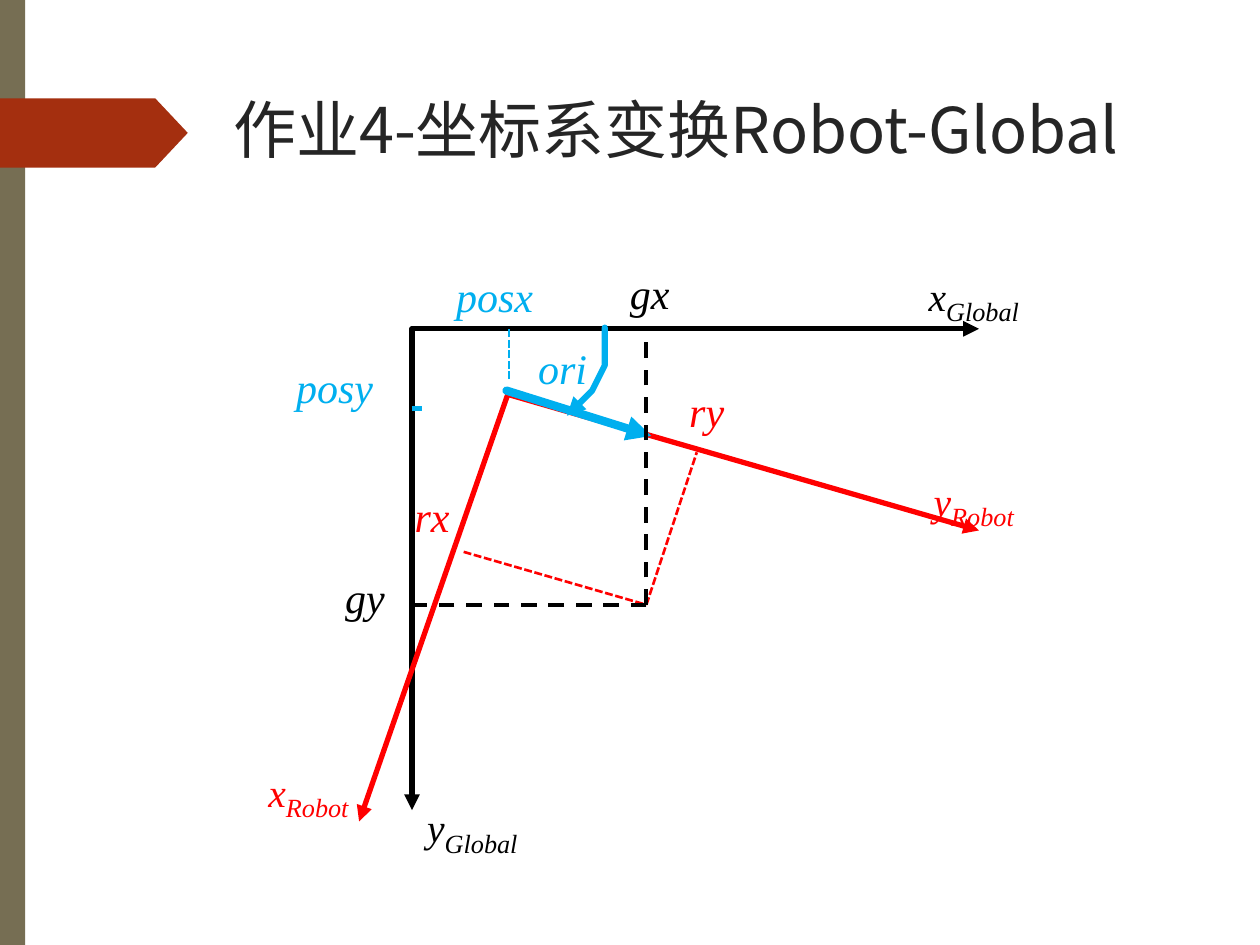
from pptx import Presentation
from pptx.dml.color import RGBColor as Rgb
from pptx.enum.dml import MSO_LINE as Dash
from pptx.enum.shapes import MSO_CONNECTOR as Link, MSO_SHAPE as Form
from pptx.enum.text import MSO_ANCHOR as Anchor, MSO_AUTO_SIZE as Fit, PP_ALIGN as Align
from pptx.oxml.ns import qn
from pptx.util import Inches, Pt
from lxml.etree import SubElement as Sub

BLACK, RED, BLUE = "000000", "FF0000", "00AFEF"

deck = Presentation()
deck.slide_width, deck.slide_height = Inches(10), Inches(7.5)
unit = deck.slide_width / 100
slide = deck.slides.add_slide(deck.slide_layouts[5])
shapes = slide.shapes


def grid(*cells):
    return [round(cell * unit) for cell in cells]


def paint(part, color):
    if hasattr(part, "solid"):
        part.solid()
        part = part.fore_color
    else:
        part = part.color
    part.rgb = Rgb.from_string(color)


frame = {"margin_left": 0, "margin_right": 0, "margin_top": Inches(0.01), "margin_bottom": 0,
         "word_wrap": True, "auto_size": Fit.NONE, "vertical_anchor": Anchor.TOP}

for form, box, color in (
    (Form.RECTANGLE, (0, 0, 2, 75), "766E53"),
    (Form.PENTAGON, (0, 7.8, 14.9, 5.5), "A42F0F"),
):
    shape = shapes.add_shape(form, *grid(*box))
    shape.shadow.inherit = False
    paint(shape.fill, color)
    shape.line.fill.background()
shape.adjustments[0] = 0.47

title = shapes.title
title.left, title.top, title.width, title.height = grid(18.5, 7.1, 74, 6.2)
for name, value in frame.items():
    setattr(title.text_frame, name, value)
line = title.text_frame.paragraphs[0]
line.alignment = Align.LEFT
run = line.add_run()
run.text = "作业4-坐标系变换Robot-Global"
run.font.size = Pt(36)
run.font.name = "Noto Sans CJK SC"
paint(run.font, "252525")
Sub(run.font._element, qn("a:ea"), typeface="Noto Sans CJK SC")

lines = []
for ends, color, width, dash, head in (
    ((32.7, 26.1, 77.7, 26.1), BLACK, 3, None, True),
    ((32.7, 26.1, 32.7, 64.3), BLACK, 3, None, True),
    ((40.3, 31.3, 77.7, 42.1), RED, 3, None, True),
    ((40.3, 31.3, 28.5, 65.2), RED, 3, None, True),
    ((40.4, 30.1, 40.4, 26), BLUE, 1.5, Dash.SQUARE_DOT, False),
    ((51.3, 48, 55.3, 35.9), RED, 1.5, Dash.SQUARE_DOT, False),
    ((36.8, 43.8, 51.3, 48), RED, 1.5, Dash.SQUARE_DOT, False),
    ((32.7, 32.4, 33.5, 32.4), BLUE, 3, None, False),
    ((40.2, 31, 51.7, 34.6), BLUE, 4.75, None, True),
    ((51.3, 48, 51.3, 26), BLACK, 2.25, Dash.DASH, False),
    ((51.3, 48, 32.5, 48), BLACK, 2.25, Dash.DASH, False),
):
    link = shapes.add_connector(Link.STRAIGHT, *grid(*ends))
    lines.append((link, color, width, dash, head))

curve = ((48, 26.4), (48, 27.8), (47.7, 29.3), (47.2, 30.6), (46.5, 31.7), (45.3, 32.6))
path = shapes.build_freeform(*curve[0], scale=unit)
path.add_line_segments(curve[1:], close=False)
arc = path.convert_to_shape()
arc.fill.background()
lines.append((arc, BLUE, 3.5, None, True))

for link, color, width, dash, head in lines:
    paint(link.line, color)
    link.line.width = Pt(width)
    if dash:
        link.line.dash_style = dash
    if head:
        edge = link.line._get_or_add_ln()
        edge.set("cap", "rnd")
        Sub(edge, qn("a:round"))
        Sub(edge, qn("a:tailEnd"), type="triangle")
    Sub(link._element.spPr, qn("a:effectLst"))

for word, index, box, color in (
    ("posx", "", (36.2, 21.4, 7, 4.3), BLUE),
    ("posy", "", (23.5, 28.6, 7, 4.3), BLUE),
    ("ori", "", (42.7, 27.1, 4.5, 4.3), BLUE),
    ("gx", "", (50, 21.1, 3.6, 4.3), BLACK),
    ("gy", "", (27.4, 45.3, 3.6, 4.3), BLACK),
    ("rx", "", (32.9, 38.8, 3.3, 4.3), RED),
    ("ry", "", (54.7, 30.5, 3.3, 4.3), RED),
    ("x", "Global", (73.7, 20, 8, 4.7), BLACK),
    ("y", "Global", (33.9, 62.2, 8, 4.7), BLACK),
    ("y", "Robot", (74.1, 36.3, 7.3, 4.7), RED),
    ("x", "Robot", (21.3, 59.4, 7.3, 4.7), RED),
):
    label = shapes.add_textbox(*grid(*box)).text_frame
    for name, value in frame.items():
        setattr(label, name, value)
    for text, size in ((word, 39 if index else 24), (index, 15)):
        if text:
            run = label.paragraphs[0].add_run()
            run.text = text
            for name, value in {"name": "Times New Roman", "size": Pt(size), "italic": True}.items():
                setattr(run.font, name, value)
            paint(run.font, color)
            if size == 39:
                run.font._element.set("baseline", "15000")

deck.save("out.pptx")
